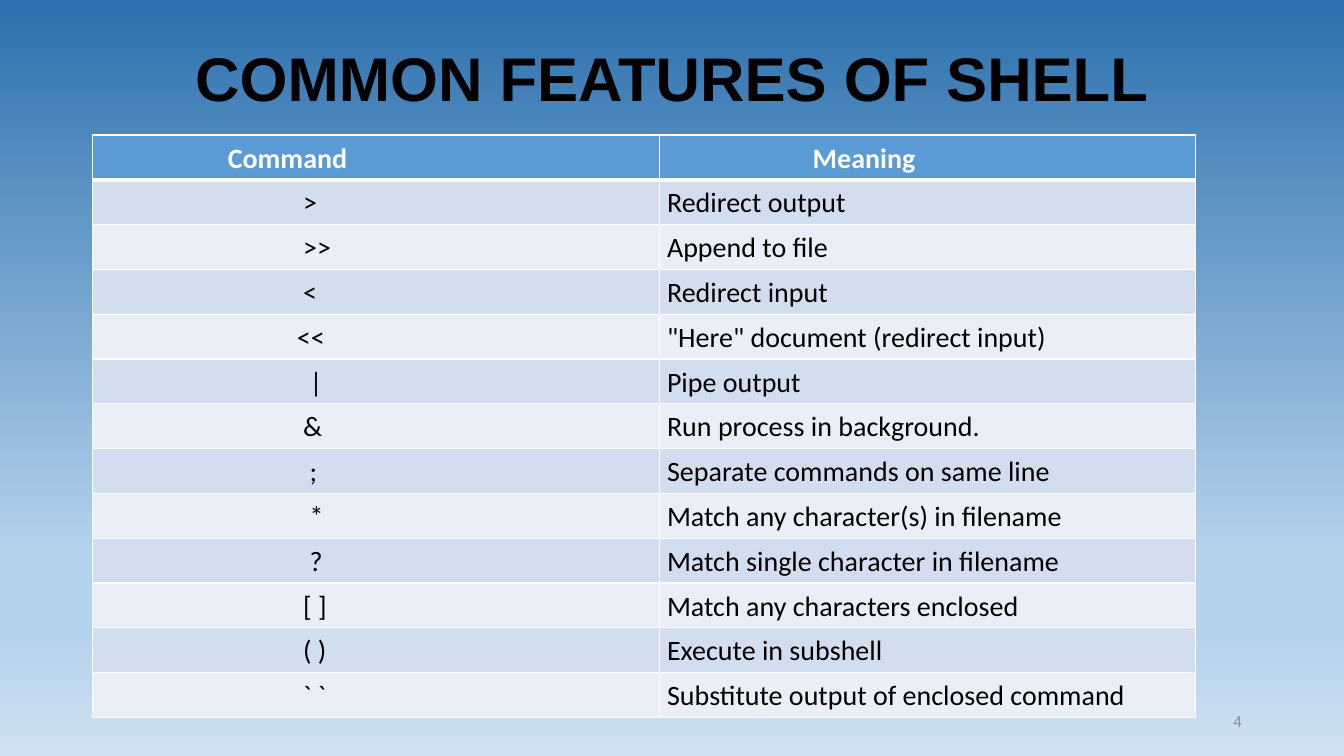
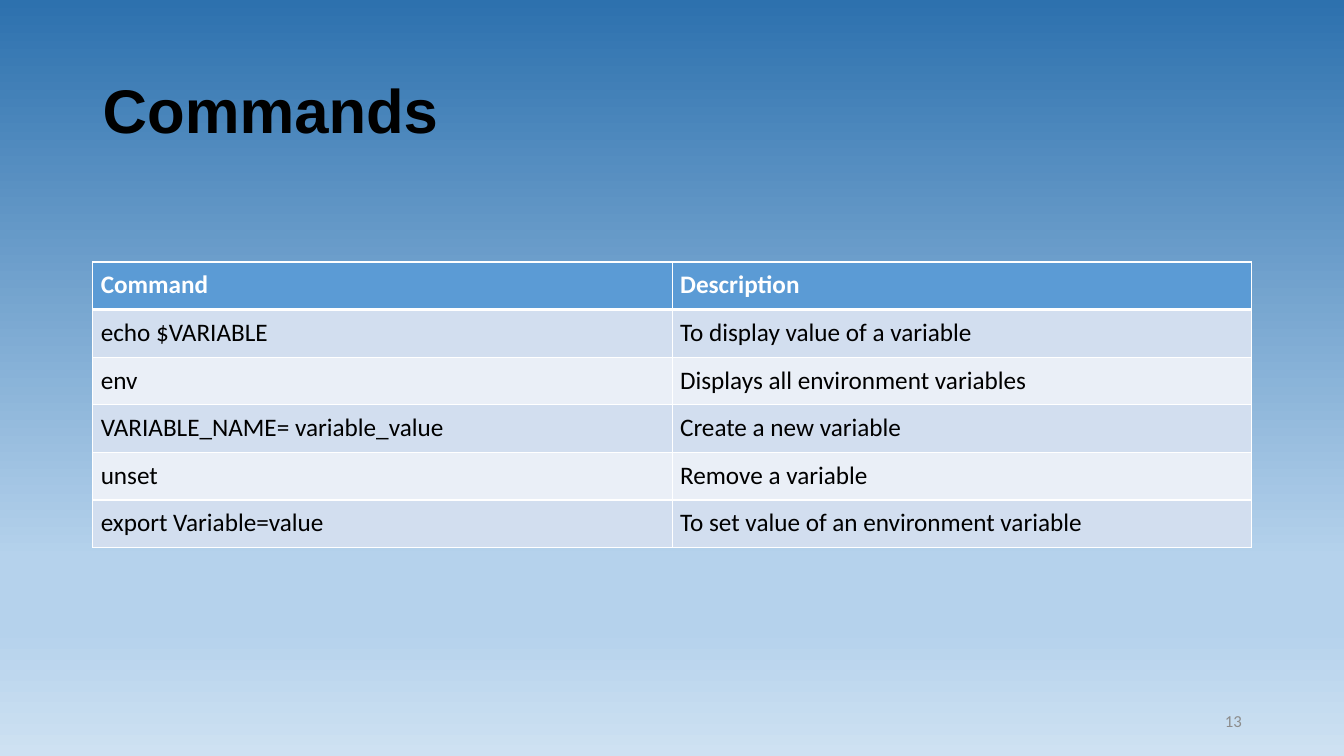
from lxml import etree
from pptx import Presentation
from pptx.dml.color import RGBColor
from pptx.enum.text import MSO_ANCHOR, PP_ALIGN
from pptx.oxml.ns import qn
from pptx.util import Cm, Pt

LEFT, MID, RIGHT = PP_ALIGN.LEFT, PP_ALIGN.CENTER, PP_ALIGN.RIGHT
TOP, CENTER = MSO_ANCHOR.TOP, MSO_ANCHOR.MIDDLE

COLORS = {"head": "5B9BD5", "odd": "D2DEEF", "even": "EAEFF7",
          "white": "FFFFFF", "black": "000000", "gray": "8C8C8C"}
# Background stops: position, color, opacity (percent)
STOPS = [(0, "2D71AE", 70), (74, "B5D2EC", 100),
         (83, "B5D2EC", 100), (100, "CEE1F2", 100)]
TITLE = {"name": "Arial", "size": Pt(44), "bold": True}
FOOT = {"name": "Calibri", "size": Pt(12), "bold": False}
EDGE, WIDE, PAD = 2.34, 29.21, 0.2

# Table rows: command, its indent in cm, meaning, its indent
shell = [
    ("Command", 3.2, "Meaning", 3.67),
    (">", 5.1, "Redirect output", 0),
    (">>", 5.1, "Append to file", 0),
    ("<", 5.1, "Redirect input", 0),
    ("<<", 4.94, '"Here" document (redirect input)', 0),
    ("|", 5.26, "Pipe output", 0),
    ("&", 5.1, "Run process in background.", 0),
    (";", 5.26, "Separate commands on same line", 0),
    ("*", 5.26, "Match any character(s) in filename", 0),
    ("?", 5.26, "Match single character in filename", 0),
    ("[ ]", 5.1, "Match any characters enclosed", 0),
    ("( )", 5.1, "Execute in subshell", 0),
    ("` `", 5.1, "Substitute output of enclosed command", 0),
]
env = [
    ("Command", 0, "Description", 0),
    ("echo $VARIABLE", 0, "To display value of a variable", 0),
    ("env", 0, "Displays all environment variables", 0),
    ("VARIABLE_NAME= variable_value", 0, "Create a new variable", 0),
    ("unset", 0, "Remove a variable", 0),
    ("export Variable=value", 0, "To set value of an environment variable", 0),
]
pages = [
    {"title": "COMMON FEATURES OF SHELL", "align": MID, "tall": 2.11,
     "rows": shell, "top": 3.4, "cols": (14.27, 13.51), "step": 1.13,
     "size": 20, "pad": 0.1, "anchor": CENTER,
     "para": {"line_spacing": 1.07, "space_after": Pt(8)}, "number": "4"},
    {"title": "Commands", "align": LEFT, "tall": 3.68,
     "rows": env, "top": 6.6, "cols": (14.6, 14.6), "step": 1.2,
     "size": 18, "pad": 0.2, "anchor": TOP, "para": {}, "number": "13"},
]


def write(frame, text, color, font, para):
    """Fill the first paragraph and apply its formats."""
    line = frame.paragraphs[0]
    run = line.add_run()
    run.text = text
    run.font.color.rgb = RGBColor.from_string(COLORS[color])
    for target, values in ((run.font, font), (line, para)):
        for key, value in values.items():
            setattr(target, key, value)


def add_text(slide, text, box, color, font, para):
    """Add a wrapped, vertically centered text box."""
    frame = slide.shapes.add_textbox(*map(Cm, box)).text_frame
    frame.word_wrap = True
    frame.vertical_anchor = CENTER
    write(frame, text, color, font, para)


prs = Presentation()
prs.slide_width, prs.slide_height = Cm(33.87), Cm(19.05)

for page in pages:
    slide = prs.slides.add_slide(prs.slide_layouts[6])

    # Background gradient
    fill = slide.background.fill
    fill.gradient()
    fill.gradient_angle = 270
    stops = next(slide.element.iter(qn("a:gsLst")))
    for old in list(stops):
        stops.remove(old)
    for pos, color, alpha in STOPS:
        stop = etree.SubElement(stops, qn("a:gs"), pos=str(pos * 1000))
        tint = etree.SubElement(stop, qn("a:srgbClr"), val=color)
        if alpha < 100:
            etree.SubElement(tint, qn("a:alpha"), val=str(alpha * 1000))

    # Title
    add_text(slide, page["title"], (EDGE, 1.01, WIDE, page["tall"]), "black",
             TITLE, {"alignment": page["align"], "line_spacing": 0.9})

    # Table
    rows, cols = page["rows"], page["cols"]
    table = slide.shapes.add_table(
        len(rows), len(cols), Cm(EDGE), Cm(page["top"]),
        Cm(sum(cols)), Cm(page["step"] * len(rows))).table
    for col, width in zip(table.columns, cols):
        col.width = Cm(width)
    for r, row in enumerate(rows):
        table.rows[r].height = Cm(page["step"])
        band = "head" if r == 0 else "odd" if r % 2 else "even"
        for c in range(len(cols)):
            text, indent = row[2 * c:2 * c + 2]
            cell = table.cell(r, c)
            cell.margin_left, cell.margin_right = Cm(PAD + indent), Cm(PAD)
            cell.margin_top = cell.margin_bottom = Cm(page["pad"])
            cell.vertical_anchor = page["anchor"]
            font = {"name": "Calibri", "size": Pt(page["size"]), "bold": r == 0}
            write(cell.text_frame, text, "white" if r == 0 else "black",
                  font, page["para"])

            # White borders, thick under the header
            props = cell._tc.get_or_add_tcPr()
            for side in "LRTB":
                thick = (r, side) in ((0, "B"), (1, "T"))
                edge = etree.SubElement(props, qn("a:ln" + side),
                                        w=str(Pt(3 if thick else 1)))
                solid = etree.SubElement(edge, qn("a:solidFill"))
                etree.SubElement(solid, qn("a:srgbClr"), val=COLORS["white"])
            cell.fill.solid()
            cell.fill.fore_color.rgb = RGBColor.from_string(COLORS[band])

    # Page number
    add_text(slide, page["number"], (23.93, 17.65, 7.62, 1.01), "gray",
             FOOT, {"alignment": RIGHT})

prs.save("out.pptx")
